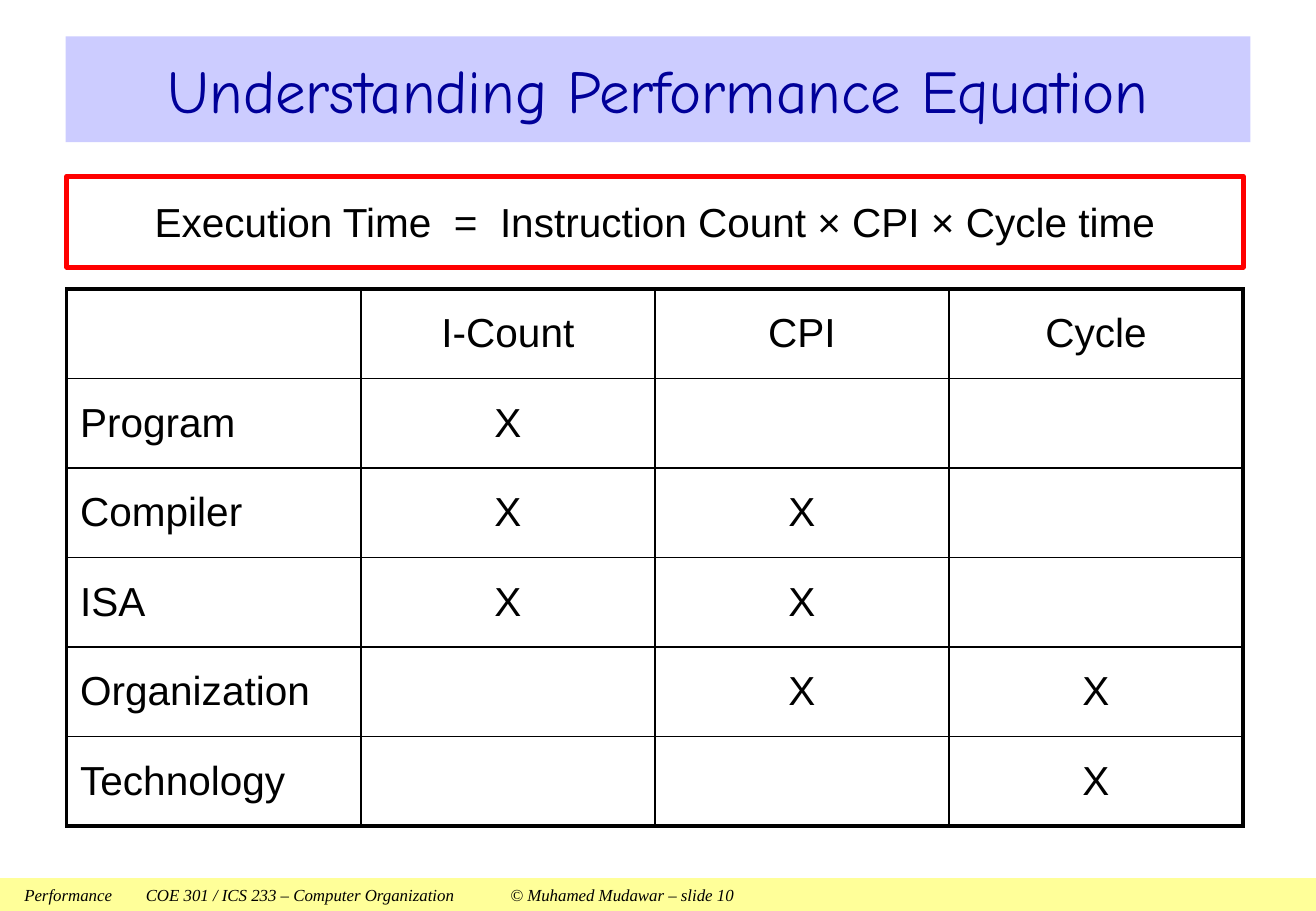
from dataclasses import dataclass

from lxml.etree import SubElement
from pptx import Presentation
from pptx.dml.color import RGBColor
from pptx.enum.shapes import MSO_SHAPE
from pptx.enum.text import MSO_ANCHOR as Anchor, PP_ALIGN as Align
from pptx.oxml.ns import qn
from pptx.shapes.autoshape import Shape
from pptx.slide import Slide
from pptx.table import _Cell as Cell
from pptx.text.text import TextFrame
from pptx.util import Inches, Pt

BLACK = "000000"
THIN, THICK = 1, 2.25


@dataclass(frozen=True)
class Box:
    left: float
    top: float
    width: float
    height: float

    def lengths(self) -> tuple[Inches, ...]:
        return tuple(map(Inches, (self.left, self.top, self.width, self.height)))


@dataclass(frozen=True)
class TextStyle:
    font: str
    size: float
    color: str = BLACK
    italic: bool = False
    align: Align = Align.LEFT


@dataclass(frozen=True)
class Factor:
    """A design factor and the equation terms it affects."""
    name: str
    affects: tuple[str, ...]


TERMS = ("I-Count", "CPI", "Cycle")
FACTORS = (
    Factor("Program", ("I-Count",)),
    Factor("Compiler", ("I-Count", "CPI")),
    Factor("ISA", ("I-Count", "CPI")),
    Factor("Organization", ("CPI", "Cycle")),
    Factor("Technology", ("Cycle",)),
)

TITLE_STYLE = TextStyle("Comic Neue", 36, "000099", align=Align.CENTER)
LABEL_STYLE = TextStyle("Arial", 24)
CENTERED_STYLE = TextStyle("Arial", 24, align=Align.CENTER)
FOOTER_STYLE = TextStyle("Times New Roman", 10, italic=True)


def rgb(color: str) -> RGBColor:
    return RGBColor.from_string(color)


def write(frame: TextFrame, text: str, style: TextStyle) -> None:
    frame.text = text
    frame.word_wrap = True
    frame.vertical_anchor = Anchor.MIDDLE
    paragraph = frame.paragraphs[0]
    paragraph.alignment = style.align
    font = paragraph.font
    font.name, font.size = style.font, Pt(style.size)
    font.bold, font.italic = False, style.italic
    font.color.rgb = rgb(style.color)


def place_title(slide: Slide, box: Box, text: str) -> None:
    title = slide.shapes.title
    title.left, title.top, title.width, title.height = box.lengths()
    title.fill.solid()
    title.fill.fore_color.rgb = rgb("CCCCFF")
    write(title.text_frame, text, TITLE_STYLE)


def add_band(slide: Slide, box: Box, text: str, style: TextStyle,
             inset: float) -> Shape:
    """Add a plain rectangle of text with no fill or line."""
    band = slide.shapes.add_shape(MSO_SHAPE.RECTANGLE, *box.lengths())
    band.shadow.inherit = False
    band.fill.background()
    band.line.fill.background()
    frame = band.text_frame
    frame.margin_left = frame.margin_right = Inches(inset)
    frame.margin_top = frame.margin_bottom = 0
    write(frame, text, style)
    return band


def set_borders(cell: Cell, widths: dict[str, float]) -> None:
    properties = cell._tc.get_or_add_tcPr()
    for side, width in widths.items():
        line = SubElement(properties, qn(f"a:ln{side}"), w=str(Pt(width)))
        SubElement(SubElement(line, qn("a:solidFill")), qn("a:srgbClr"), val=BLACK)


def add_factor_table(slide: Slide, box: Box) -> None:
    rows = [("", *TERMS)]
    rows += [(factor.name, *("X" if term in factor.affects else "" for term in TERMS))
             for factor in FACTORS]
    last_row, last_column = len(rows) - 1, len(TERMS)
    table = slide.shapes.add_table(len(rows), last_column + 1, *box.lengths()).table
    table.first_row = table.horz_banding = False
    for r, texts in enumerate(rows):
        for c, text in enumerate(texts):
            cell = table.cell(r, c)
            cell.margin_left = cell.margin_right = Inches(0.11)
            write(cell.text_frame, text, CENTERED_STYLE if c else LABEL_STYLE)
            cell.vertical_anchor = Anchor.MIDDLE
            set_borders(cell, {
                "L": THICK if c == 0 else THIN,
                "R": THICK if c == last_column else THIN,
                "T": THICK if r == 0 else THIN,
                "B": THICK if r == last_row else THIN,
            })
            cell.fill.background()


def main() -> None:
    presentation = Presentation()
    presentation.slide_width, presentation.slide_height = Inches(10.83), Inches(7.5)
    slide = presentation.slides.add_slide(presentation.slide_layouts[5])

    footer = add_band(
        slide, Box(0, 7.23, 10.83, 0.27),
        "Performance\tCOE 301 / ICS 233 – Computer Organization"
        "\t© Muhamed Mudawar – slide 10", FOOTER_STYLE, inset=0.2)
    footer.fill.solid()
    footer.fill.fore_color.rgb = rgb("FFFF99")

    add_factor_table(slide, Box(0.55, 2.38, 9.68, 4.42))
    place_title(slide, Box(0.54, 0.3, 9.75, 0.87), "Understanding Performance Equation")

    equation = add_band(
        slide, Box(0.55, 1.45, 9.68, 0.75),
        "Execution Time  =  Instruction Count × CPI × Cycle time",
        CENTERED_STYLE, inset=0.1)
    equation.line.color.rgb = rgb("FF0000")
    equation.line.width = Pt(3)

    presentation.save("out.pptx")


if __name__ == "__main__":
    main()
